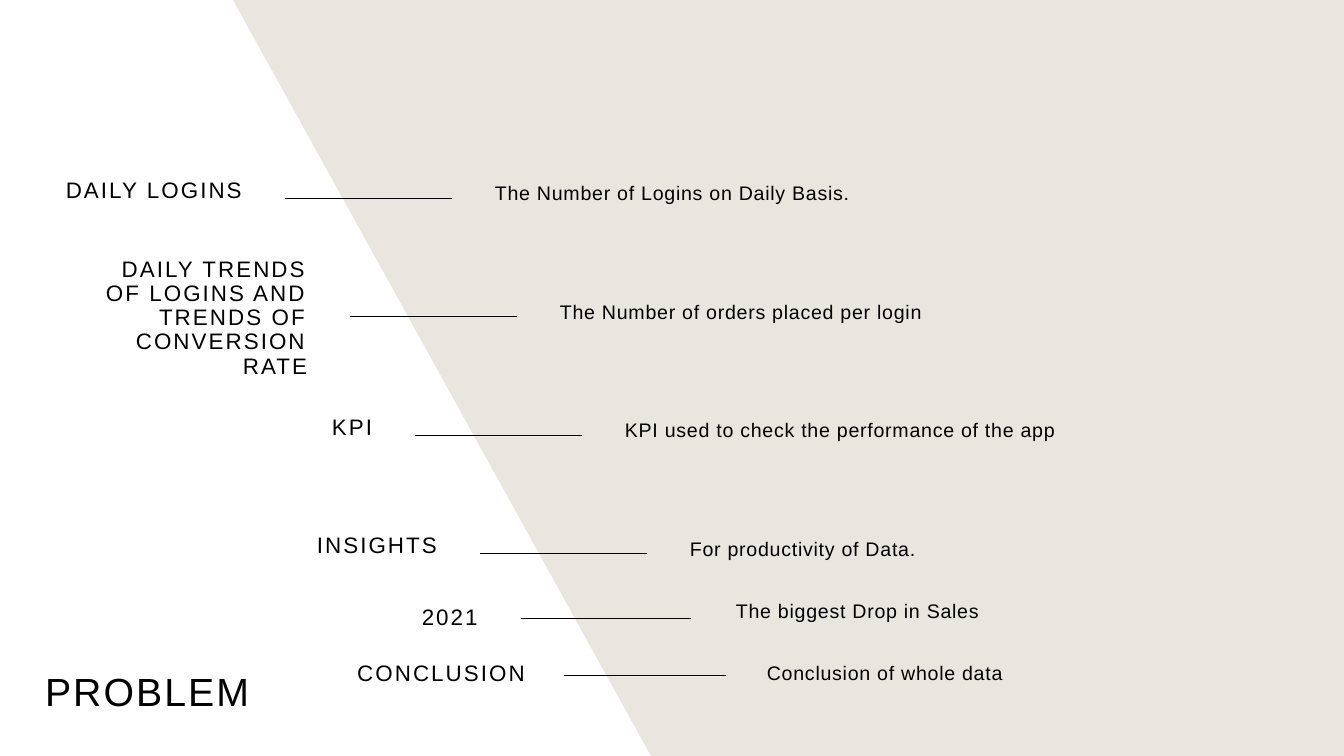
import pptx
import pptx.util
import pptx.dml.color
import pptx.enum.shapes
import pptx.enum.text
from lxml import etree

PX = 914400 / 100.8
WIDTH, HEIGHT = 1344, 756
FONT = "Arial"
BLACK = pptx.dml.color.RGBColor(0x00, 0x00, 0x00)
WHITE = pptx.dml.color.RGBColor(0xFF, 0xFF, 0xFF)
SAND = pptx.dml.color.RGBColor(0xE9, 0xE6, 0xDF)
LEFT = pptx.enum.text.PP_ALIGN.LEFT
RIGHT = pptx.enum.text.PP_ALIGN.RIGHT
TOP = pptx.enum.text.MSO_ANCHOR.TOP
MIDDLE = pptx.enum.text.MSO_ANCHOR.MIDDLE

# Evenly stepped rows: label, label height, detail
STEPPED_ROWS = [
    ("DAILY LOGINS", 56, "The Number of Logins on Daily Basis."),
    ("DAILY TRENDS OF LOGINS AND TRENDS OF CONVERSION RATE", 74,
     "The Number of orders placed per login"),
    ("KPI", 56, "KPI used to check the performance of the app"),
    ("INSIGHTS", 56, "For productivity of Data."),
]
# Closing rows: label, label box, rule (left, y, width), detail, detail box
CLOSING_ROWS = [
    ("2021 ", (260, 590, 236, 56), (521, 618, 170),
     "The biggest Drop in Sales", (726, 594, 310, 55)),
    ("CONCLUSION", (299, 646, 236, 56), (564, 675, 162),
     "Conclusion of whole data", (757, 656, 310, 55)),
]


def px(length):
    return pptx.util.Emu(round(length * PX))


def write_text(shape, text, size, tracking, align=LEFT, anchor=TOP,
               line_spacing=1.0, space_before=10):
    frame = shape.text_frame
    frame.word_wrap = True
    frame.auto_size = pptx.enum.text.MSO_AUTO_SIZE.NONE
    frame.vertical_anchor = anchor
    paragraph = frame.paragraphs[0]
    paragraph.alignment = align
    paragraph.line_spacing = line_spacing
    paragraph.space_before = pptx.util.Pt(space_before)
    run = paragraph.add_run()
    run.text = text
    run.font.name = FONT
    run.font.size = pptx.util.Pt(size)
    run.font.color.rgb = BLACK
    run.font._element.set("spc", str(tracking))


def add_backdrop(slide, left, top, width, height):
    """Sand-coloured panel with a slanted left edge."""
    slant = 418
    builder = slide.shapes.build_freeform(left + slant, top + height, scale=PX)
    builder.add_line_segments(
        [(left, top), (left + width, top), (left + width, top + height)], close=True)
    panel = builder.convert_to_shape()
    panel.shadow.inherit = False
    panel.fill.solid()
    panel.fill.fore_color.rgb = SAND
    panel.line.fill.background()


def add_title(slide, left, top, width, height):
    title = slide.shapes.title
    title.left, title.top, title.width, title.height = map(px, (left, top, width, height))
    write_text(title, "PROBLEM", 28, 150, anchor=MIDDLE, line_spacing=0.9, space_before=0)


def add_rule(slide, left, y, width):
    rule = slide.shapes.add_connector(
        pptx.enum.shapes.MSO_CONNECTOR.STRAIGHT, px(left), px(y), px(left + width), px(y))
    rule.line.color.rgb = BLACK
    rule.line.width = pptx.util.Pt(0.5)
    properties = rule._element.spPr
    etree.SubElement(properties, pptx.oxml.ns.qn("a:effectLst"))


def add_row(slide, label, label_box, rule, detail, detail_box):
    """One topic: label, rule across the slanted edge, detail."""
    label_shape = slide.shapes.add_textbox(*map(px, label_box))
    write_text(label_shape, label, 16, 150, RIGHT, MIDDLE, 0.9)
    add_rule(slide, *rule)
    detail_shape = slide.shapes.add_textbox(*map(px, detail_box))
    write_text(detail_shape, detail, 14, 50)


def add_stepped_rows(slide, left, top):
    """Rows that shift right and down by a constant step."""
    for index, (label, label_height, detail) in enumerate(STEPPED_ROWS):
        x, y = left + 65 * index, top + 118.5 * index
        add_row(slide, label, (x, y, 236, label_height), (x + 269, y + 35, 167),
                detail, (x + 469, y + 13, 611, 112))


def main():
    presentation = pptx.Presentation()
    presentation.slide_width, presentation.slide_height = px(WIDTH), px(HEIGHT)
    slide = presentation.slides.add_slide(presentation.slide_layouts[5])
    slide.background.fill.solid()
    slide.background.fill.fore_color.rgb = WHITE

    add_backdrop(slide, 233, 0, WIDTH - 233, HEIGHT)
    add_title(slide, 35, 661, 450, 65)
    add_stepped_rows(slide, 16, 163)
    for row in CLOSING_ROWS:
        add_row(slide, *row)
    presentation.save("out.pptx")


if __name__ == "__main__":
    main()
